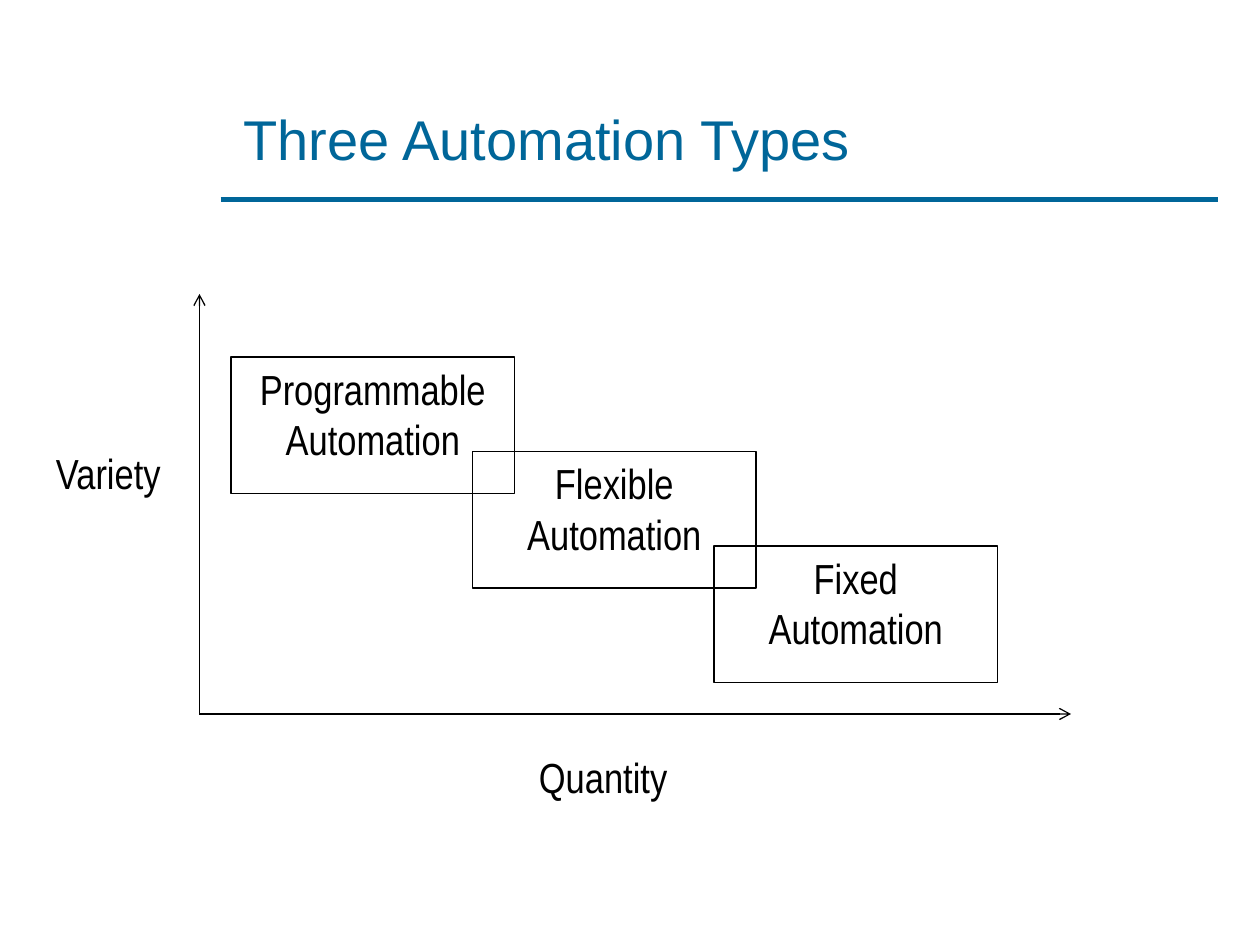
from lxml.etree import SubElement
from pptx import Presentation
from pptx.dml.color import RGBColor
from pptx.enum.shapes import MSO_CONNECTOR, MSO_SHAPE
from pptx.enum.text import MSO_ANCHOR, MSO_AUTO_SIZE, PP_ALIGN
from pptx.oxml.ns import qn
from pptx.util import Pt

PX = 9525
BLUE = "006699"
BLACK = "000000"


def write_text(shape, text, font_name, size, color, alignment):
    shape.text_frame.text = text
    for paragraph in shape.text_frame.paragraphs:
        paragraph.alignment = alignment
        paragraph.font.name = font_name
        paragraph.font.size = Pt(size)
        paragraph.font.color.rgb = RGBColor.from_string(color)


def add_line(start, end, color, width, arrow):
    points = [value * PX for value in start + end]
    connector = slide.shapes.add_connector(MSO_CONNECTOR.STRAIGHT, *points)
    connector.line.color.rgb = RGBColor.from_string(color)
    connector.line.width = Pt(width)
    properties = connector.line._get_or_add_ln()
    if arrow:
        SubElement(properties, qn("a:tailEnd"), type="arrow")
    SubElement(connector._element.spPr, qn("a:effectLst"))


presentation = Presentation()
presentation.slide_width = 960 * PX
presentation.slide_height = 720 * PX
slide = presentation.slides.add_slide(presentation.slide_layouts[5])

add_line((168, 152), (928, 152), BLUE, 2.5, False)

title = slide.shapes.title
title.left, title.top = 176 * PX, 24 * PX
title.width, title.height = 752 * PX, 112 * PX
title.text_frame.vertical_anchor = MSO_ANCHOR.BOTTOM
title.text_frame.auto_size = MSO_AUTO_SIZE.NONE
write_text(title, "Three Automation Types", "Arial", 32, BLUE, PP_ALIGN.LEFT)

for index, automation_type in enumerate(["Programmable", "Flexible", "Fixed"]):
    left, top = 176 + 184 * index, 272 + 72 * index
    box = slide.shapes.add_shape(MSO_SHAPE.RECTANGLE, left * PX, top * PX, 216 * PX, 104 * PX)
    box.shadow.inherit = False
    box.fill.background()
    box.line.color.rgb = RGBColor.from_string(BLACK)
    box.line.width = Pt(0.75)
    box.text_frame.word_wrap = False
    box.text_frame.vertical_anchor = MSO_ANCHOR.TOP
    write_text(box, f"{automation_type}\nAutomation", "Arial Narrow", 24, BLACK, PP_ALIGN.CENTER)

origin = (152, 544)
for axis_end in [(152, 224), (816, 544)]:
    add_line(origin, axis_end, BLACK, 0.75, True)

for name, left, top, width in [("Variety", 32, 336, 101), ("Quantity", 401, 568, 117)]:
    label = slide.shapes.add_textbox(left * PX, top * PX, width * PX, 48 * PX)
    label.text_frame.word_wrap = False
    label.text_frame.auto_size = MSO_AUTO_SIZE.SHAPE_TO_FIT_TEXT
    write_text(label, name, "Arial Narrow", 24, BLACK, PP_ALIGN.CENTER)

presentation.save("out.pptx")
